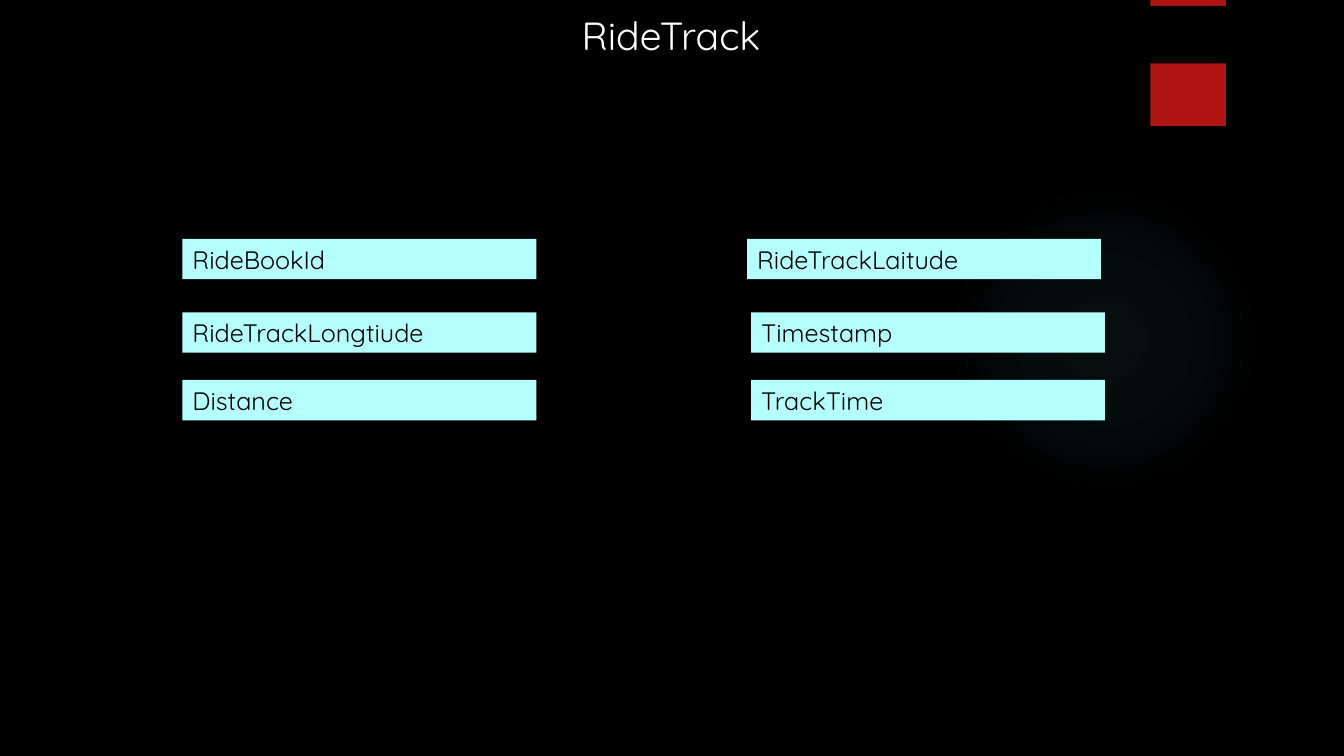
from lxml import etree
from pptx import Presentation
from pptx.dml.color import RGBColor
from pptx.enum.shapes import MSO_SHAPE as SHAPE
from pptx.enum.text import MSO_AUTO_SIZE as AUTO, PP_ALIGN as ALIGN
from pptx.oxml import parse_xml
from pptx.oxml.ns import nsdecls, qn
from pptx.util import Inches, Pt


def rgb(value):
    return RGBColor.from_string(value)


class SlideBuilder:
    """Holds the style and the current slide, and adds its elements."""

    font = "Quicksand"
    black, white, red, cyan, teal = "000000", "FFFFFF", "B01513", "B5FFFF", "50B9C1"

    def __init__(self, prs):
        self.s = prs.slides.add_slide(prs.slide_layouts[6])
        self.fill(self.s.background, self.black)

    def fill(self, target, color):
        target.fill.solid()
        target.fill.fore_color.rgb = rgb(color)

    def shape(self, kind, box, color):
        sp = self.s.shapes.add_shape(kind, *map(Inches, box))
        sp.shadow.inherit = False
        sp.line.fill.background()
        self.fill(sp, color)
        return sp

    def glow(self, box, stops):
        sp = self.shape(SHAPE.OVAL, box, self.teal)
        grad = parse_xml(
            f'<a:gradFill {nsdecls("a")} rotWithShape="1"><a:gsLst/><a:path path="circle">'
            '<a:fillToRect l="50000" t="50000" r="50000" b="50000"/></a:path></a:gradFill>')
        for position, opacity in stops:
            gs = etree.SubElement(grad[0], qn("a:gs"), pos=str(position * 1000))
            color = etree.SubElement(gs, qn("a:srgbClr"), val=self.teal)
            etree.SubElement(color, qn("a:alpha"), val=str(opacity * 1000))
        solid = sp.fill._xPr.find(qn("a:solidFill"))
        solid.getparent().replace(solid, grad)

    def label(self, text, box, fill, color, size, align=ALIGN.LEFT):
        sp = self.s.shapes.add_textbox(*map(Inches, box))
        self.fill(sp, fill)
        tf = sp.text_frame
        tf.word_wrap = True
        tf.auto_size = AUTO.SHAPE_TO_FIT_TEXT
        p = tf.paragraphs[0]
        p.alignment = align
        r = p.add_run()
        r.text = text
        for name, value in {"name": self.font, "size": Pt(size)}.items():
            setattr(r.font, name, value)
        r.font.color.rgb = rgb(color)


def main():
    prs = Presentation()
    prs.slide_width, prs.slide_height = Inches(13.33), Inches(7.5)
    b = SlideBuilder(prs)
    b.glow((9.41, 1.83, 3.08, 3.08), [(0, 7), (36, 6), (69, 0)])
    b.shape(SHAPE.RECTANGLE, (11.41, 0, 0.75, 1.25), b.red)
    b.label("RideTrack", (0.12, 0.06, 13.07, 0.57), b.black, b.white, 28, ALIGN.CENTER)

    rows = [
        (2.37, (1.81, "RideBookId"), (7.41, "RideTrackLaitude")),
        (3.1, (1.81, "RideTrackLongtiude"), (7.45, "Timestamp")),
        (3.77, (1.81, "Distance"), (7.45, "TrackTime")),
    ]
    for top, *fields in rows:
        for left, text in fields:
            b.label(text, (left, top, 3.51, 0.4), b.cyan, b.black, 18)
    prs.save("out.pptx")


if __name__ == "__main__":
    main()
